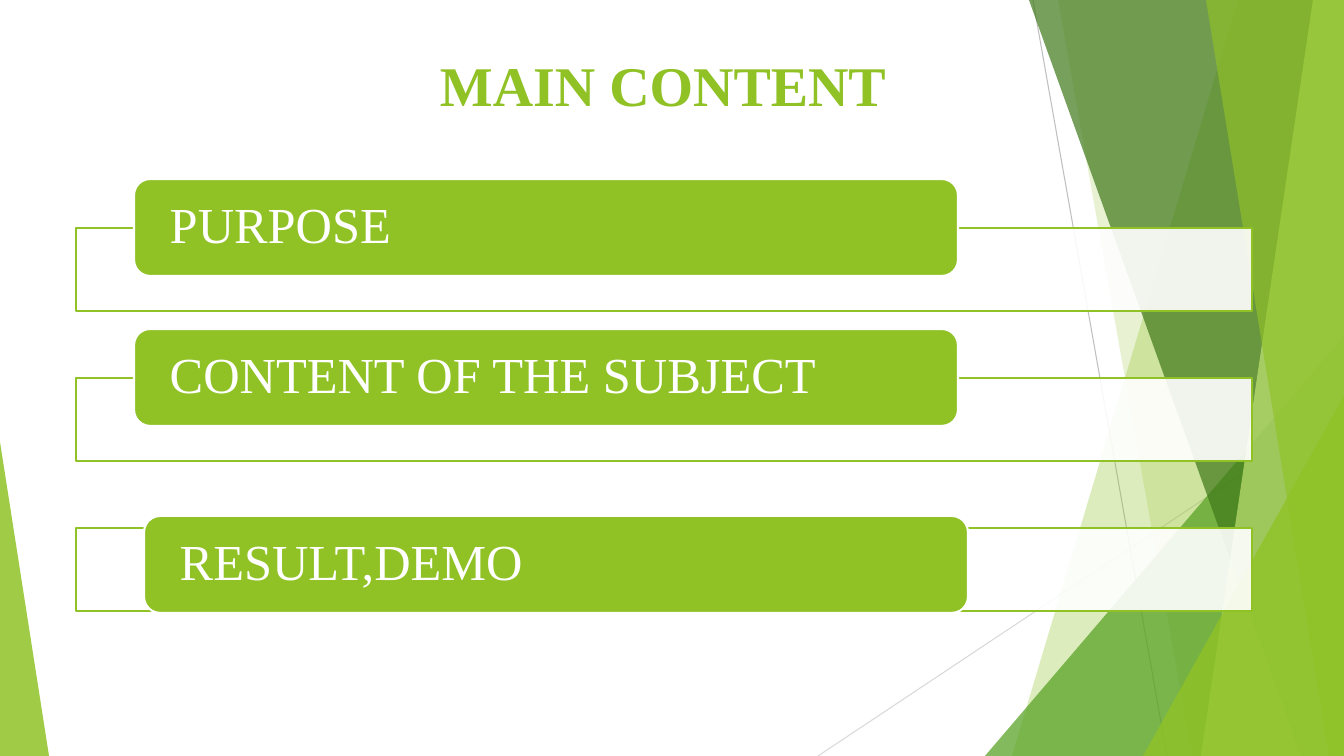
from dataclasses import dataclass

from lxml import etree
from pptx import Presentation
from pptx.dml.color import RGBColor
from pptx.enum.shapes import MSO_CONNECTOR, MSO_SHAPE
from pptx.enum.text import MSO_ANCHOR, PP_ALIGN
from pptx.oxml.ns import qn
from pptx.util import Emu, Pt

STRAIGHT = MSO_CONNECTOR.STRAIGHT
RECTANGLE = MSO_SHAPE.RECTANGLE
ROUNDED = MSO_SHAPE.ROUNDED_RECTANGLE
TRIANGLE = MSO_SHAPE.ISOSCELES_TRIANGLE
TOP = MSO_ANCHOR.TOP
MIDDLE = MSO_ANCHOR.MIDDLE
CENTER = PP_ALIGN.CENTER
LEFT = PP_ALIGN.LEFT

SLIDE_W, SLIDE_H = 1344, 756
EMU_PER_PX = 12192000 / SLIDE_W


@dataclass(frozen=True)
class Theme:
    font: str = "Times New Roman"
    title_size: int = 40
    topic_size: int = 36
    outline: float = 1.5
    hairline: float = 0.75
    lime: str = "90C226"
    pale_lime: str = "C0E474"
    green: str = "54A021"
    forest: str = "3F7819"
    white: str = "FFFFFF"
    gray: str = "BFBFBF"
    light_gray: str = "D9D9D9"


THEME = Theme()


def px(length):
    return Emu(round(length * EMU_PER_PX))


def color(code):
    return RGBColor.from_string(code)


def paint(shape, fill, opacity=100, outline=None):
    shape.shadow.inherit = False
    shape.fill.solid()
    shape.fill.fore_color.rgb = color(fill)
    if opacity < 100:
        tint = shape._element.spPr.find(qn("a:solidFill"))[0]
        etree.SubElement(tint, qn("a:alpha"), val=str(opacity * 1000))
    if outline:
        shape.line.color.rgb = color(outline)
        shape.line.width = Pt(THEME.outline)
    else:
        shape.line.fill.background()


def write(shape, wording, size, tone, align, anchor, inset=0, bold=False):
    frame = shape.text_frame
    frame.text = wording
    frame.word_wrap = True
    frame.vertical_anchor = anchor
    frame.margin_left = frame.margin_right = px(inset)
    frame.margin_top = frame.margin_bottom = 0
    paragraph = frame.paragraphs[0]
    paragraph.alignment = align
    font = paragraph.runs[0].font
    font.name = THEME.font
    font.size = Pt(size)
    font.bold = bold
    font.color.rgb = color(tone)


def add_block(slide, kind, box, fill, opacity=100, outline=None):
    block = slide.shapes.add_shape(kind, *map(px, box))
    paint(block, fill, opacity, outline)
    return block


def add_ray(slide, start, end, tone):
    ray = slide.shapes.add_connector(STRAIGHT, *map(px, start + end))
    ray.line.color.rgb = color(tone)
    ray.line.width = Pt(THEME.hairline)
    etree.SubElement(ray._element.spPr, qn("a:effectLst"))


def add_facet(slide, top_x, bottom_x, fill, opacity):
    outline = slide.shapes.build_freeform(px(top_x), px(0))
    corners = [(SLIDE_W, 0), (SLIDE_W, SLIDE_H), (bottom_x, SLIDE_H)]
    outline.add_line_segments([(px(x), px(y)) for x, y in corners])
    paint(outline.convert_to_shape(), fill, opacity)


def add_corner(slide, left, top, width, apex, fill, opacity):
    box = (left, top, width, SLIDE_H - top)
    corner = add_block(slide, TRIANGLE, box, fill, opacity)
    corner.adjustments[0] = apex


def add_backdrop(slide):
    add_ray(slide, (1033, 0), (1167, SLIDE_H), THEME.gray)
    add_ray(slide, (SLIDE_W, 406), (818, SLIDE_H), THEME.light_gray)
    add_facet(slide, 1238, 1012, THEME.lime, 30)
    add_facet(slide, 1058, 1192, THEME.lime, 20)
    add_corner(slide, 985, 336, 359, 1, THEME.green, 72)
    add_facet(slide, 1029, 1301, THEME.forest, 70)
    add_facet(slide, 1313, 1201, THEME.pale_lime, 70)
    add_facet(slide, 1206, 1329, THEME.lime, 65)
    add_corner(slide, 1143, 396, 201, 1, THEME.lime, 80)
    add_corner(slide, 0, 442, 49, 0, THEME.lime, 85)


def add_title(slide, wording):
    title = slide.shapes.title
    title.left, title.top, title.width, title.height = map(px, (156, 51, 1014, 70))
    write(title, wording, THEME.title_size, THEME.lime, CENTER, TOP, bold=True)


def add_topic(slide, wording, band_top, tab_left, tab_top):
    band = (76, band_top, 1176, 83)
    add_block(slide, RECTANGLE, band, THEME.white, 90, THEME.lime)
    tab = add_block(slide, ROUNDED, (tab_left, tab_top, 824, 97),
                    THEME.lime, outline=THEME.white)
    write(tab, wording, THEME.topic_size, THEME.white, LEFT, MIDDLE, inset=31)
    tab.text_frame.paragraphs[0].line_spacing = 0.9


def main():
    deck = Presentation()
    deck.slide_width, deck.slide_height = px(SLIDE_W), px(SLIDE_H)
    slide = deck.slides.add_slide(deck.slide_layouts[5])
    add_backdrop(slide)
    add_title(slide, "MAIN CONTENT")
    topics = [
        ("PURPOSE", 134, 179),
        ("CONTENT OF THE SUBJECT", 134, 329),
        ("RESULT,DEMO", 144, 516),
    ]
    for index, (wording, tab_left, tab_top) in enumerate(topics):
        add_topic(slide, wording, 228 + 150 * index, tab_left, tab_top)
    deck.save("out.pptx")


if __name__ == "__main__":
    main()
